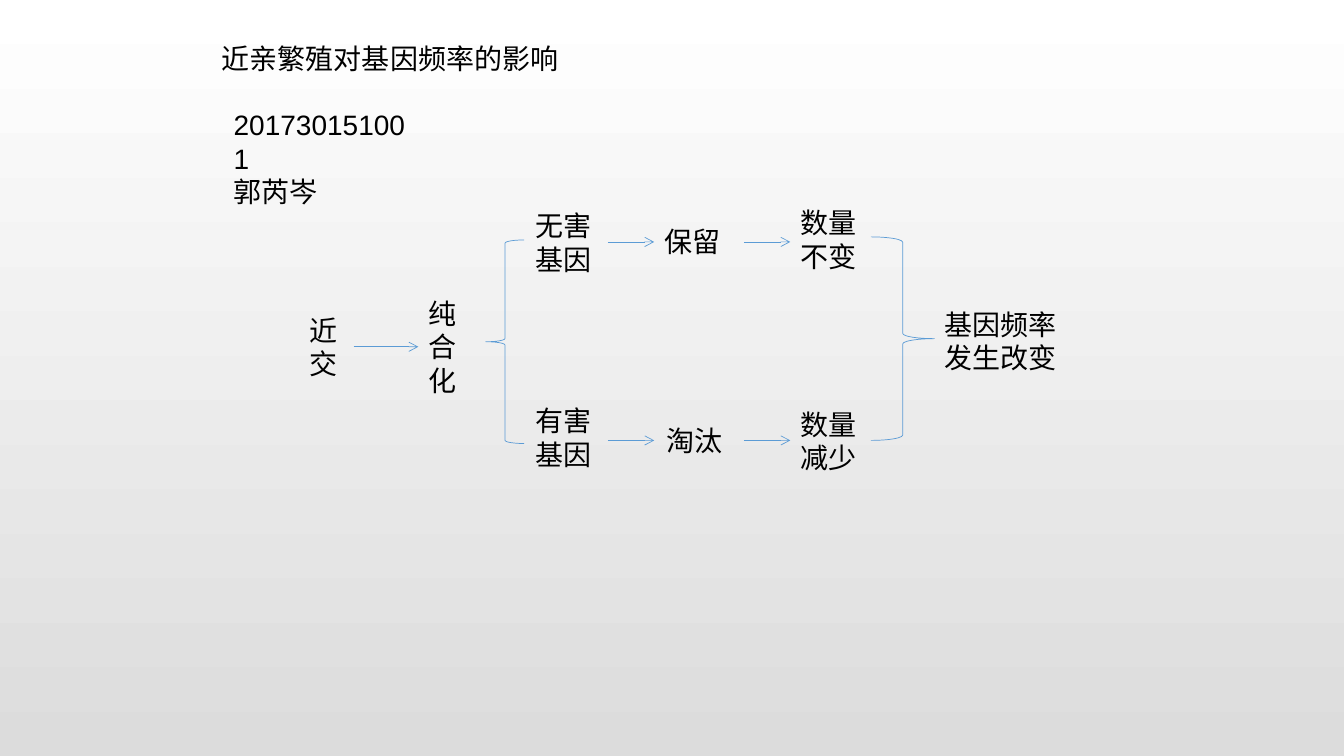
from pptx import Presentation
from pptx.dml.color import RGBColor
from pptx.enum.shapes import MSO_CONNECTOR, MSO_SHAPE
from pptx.enum.text import MSO_ANCHOR, MSO_AUTO_SIZE, PP_ALIGN
from pptx.oxml.ns import qn
from pptx.util import Pt
from lxml.etree import SubElement

# Content: (text, left, middle, width, lines), lengths in points
TITLE = ("近亲繁殖对基因频率的影响", 151.2, 41.8, 260.6, 1)
STUDENT = ("201730151001\n郭芮岑", 159.8, 101.2, 147.6, 2)
STEPS = [
    ("近交", 213.8, 248, 38.9, 2),
    ("纯合化", 298.8, 248, 39.6, 3),
    ("无害基因", 375.1, 173.1, 57.6, 2),
    ("保留", 467.3, 172.8, 62.6, 1),
    ("数量不变", 564.5, 171, 57.6, 2),
    ("有害基因", 375.1, 312.8, 57.6, 2),
    ("淘汰", 468.7, 314.6, 61.9, 1),
    ("数量减少", 564.5, 315, 57.6, 2),
    ("基因频率发生改变", 667.4, 243.7, 97.2, 2),
]
ROWS = [172.8, 314.6]
BRANCH_ARROWS = [(434.2, 467.3), (531.4, 564.5)]
ARROWS = [(252.7, 298.8, 247.7)] + [
    (start, end, row) for row in ROWS for start, end in BRANCH_ARROWS]
BRACES = [
    (MSO_SHAPE.LEFT_BRACE, 347, 171.4, 27.4, 145.4),
    (MSO_SHAPE.RIGHT_BRACE, 622.1, 169.2, 45.4, 145.4),
]

THEME = {
    "font": "Arial", "size": Pt(20), "ink": RGBColor(0, 0, 0),
    "line": RGBColor.from_string("5B9BD5"), "line_width": Pt(0.5),
    "background": ["FFFFFF", "DCDCDC"],
}
LINE_HEIGHT, PADDING = 24.2, 7.2
FRAME_FORMAT = {
    "word_wrap": True, "vertical_anchor": MSO_ANCHOR.TOP,
    "auto_size": MSO_AUTO_SIZE.SHAPE_TO_FIT_TEXT,
    "margin_left": Pt(7.2), "margin_right": Pt(7.2),
    "margin_top": Pt(3.6), "margin_bottom": Pt(3.6),
}
PARAGRAPH_FORMAT = {"alignment": PP_ALIGN.LEFT, "line_spacing": 1.0,
                    "space_before": Pt(0), "space_after": Pt(0)}
FONT_FORMAT = {"name": THEME["font"], "size": THEME["size"], "bold": False}


def apply_format(target, values):
    for name, value in values.items():
        setattr(target, name, value)


def write(box, item):
    text, left, middle, width, lines = item
    height = lines * LINE_HEIGHT + PADDING
    apply_format(box, {"left": Pt(left), "top": Pt(middle - height / 2),
                       "width": Pt(width), "height": Pt(height)})
    box.text_frame.text = text
    apply_format(box.text_frame, FRAME_FORMAT)
    for para in box.text_frame.paragraphs:
        apply_format(para, PARAGRAPH_FORMAT)
        for span in para.runs:
            apply_format(span.font, FONT_FORMAT)
            span.font.color.rgb = THEME["ink"]


def style_line(line):
    line.color.rgb = THEME["line"]
    line.width = THEME["line_width"]


def add_arrow(page, start, end, middle):
    arrow = page.shapes.add_connector(
        MSO_CONNECTOR.STRAIGHT, Pt(start), Pt(middle), Pt(end), Pt(middle))
    style_line(arrow.line)
    SubElement(arrow.line._get_or_add_ln(), qn("a:tailEnd"), type="arrow")
    SubElement(arrow._element.spPr, qn("a:effectLst"))


def add_brace(page, kind, *bounds):
    brace = page.shapes.add_shape(kind, *map(Pt, bounds))
    brace.shadow.inherit = False
    brace.fill.background()
    style_line(brace.line)


def main():
    deck = Presentation()
    deck.slide_width, deck.slide_height = Pt(960), Pt(540)
    page = deck.slides.add_slide(deck.slide_layouts[5])

    # Background fading downwards
    fill = page.background.fill
    fill.gradient()
    fill.gradient_angle = 270
    for position, (stop, color) in enumerate(
            zip(fill.gradient_stops, THEME["background"])):
        stop.position = position
        stop.color.rgb = RGBColor.from_string(color)

    # Title, student and steps
    write(page.shapes.title, TITLE)
    for item in [STUDENT, *STEPS]:
        write(page.shapes.add_textbox(0, 0, 0, 0), item)

    # Arrows and braces
    for arrow in ARROWS:
        add_arrow(page, *arrow)
    for brace in BRACES:
        add_brace(page, *brace)

    deck.save("out.pptx")


if __name__ == "__main__":
    main()
